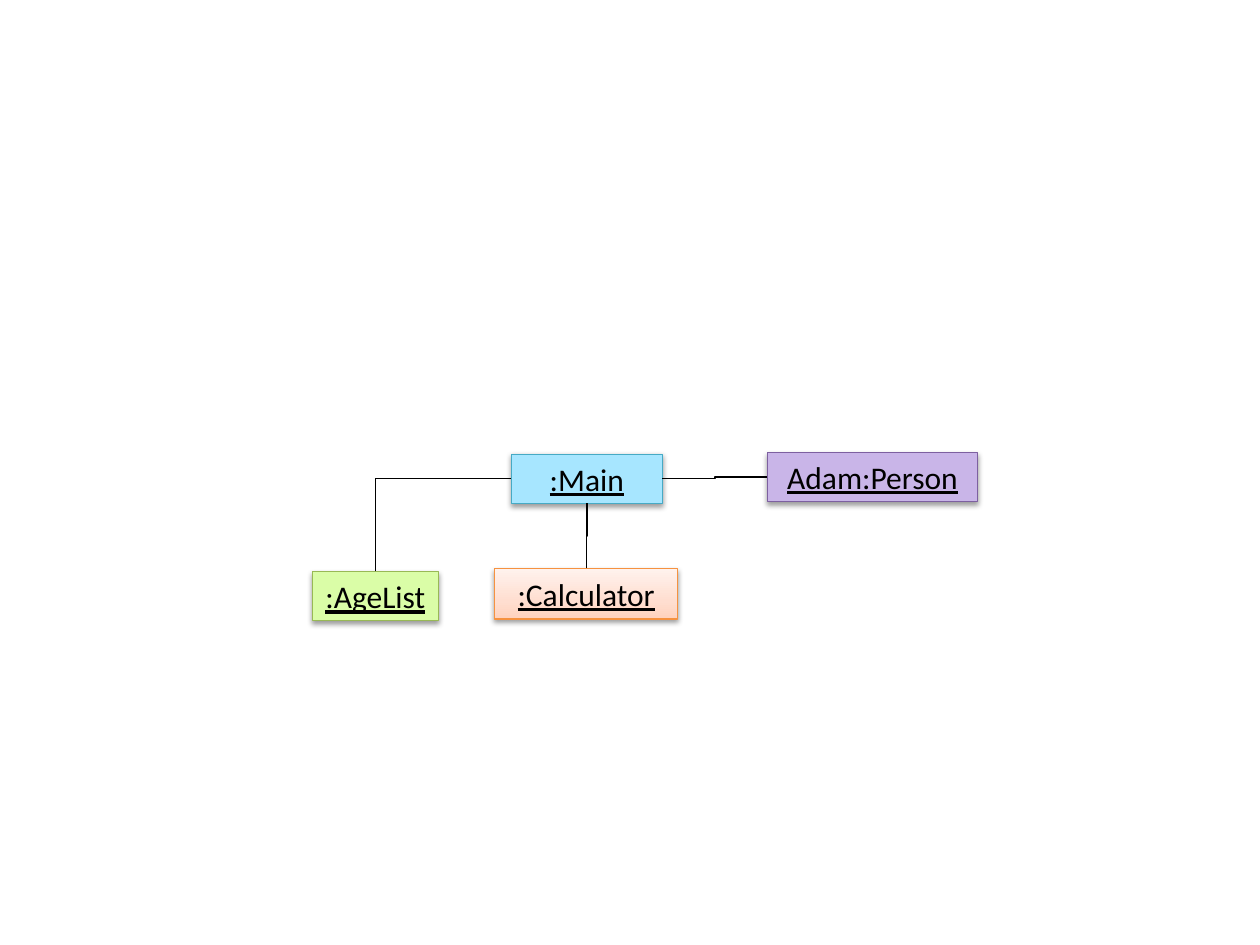
from lxml import etree
from pptx import Presentation
from pptx.dml.color import RGBColor as RGB
from pptx.enum.shapes import MSO_CONNECTOR as CONN, MSO_SHAPE as SHAPE
from pptx.enum.text import MSO_ANCHOR, MSO_AUTO_SIZE, PP_ALIGN
from pptx.oxml import parse_xml
from pptx.oxml.ns import nsdecls, qn
from pptx.util import Inches, Pt

COLORS = {
    "black": "000000",
    "blue": "A7E6FF", "blue_line": "46AAC5",
    "green": "DAFDA7", "green_line": "98B955",
    "purple": "C9B5E8", "purple_line": "7D60A0",
    "orange": "FFDED0", "orange_line": "F69240",
    "orange_low": "FFD2BD", "orange_high": "FFF2ED",
}

prs = Presentation()
prs.slide_width, prs.slide_height = Inches(10), Inches(7.5)
W, H = prs.slide_width / 100, prs.slide_height / 100
slide = prs.slides.add_slide(prs.slide_layouts[6])

# Objects: left, top, width, height in percent of the slide
objects = [
    (":Main", "blue", 40.58, 48.07, 12, 5.2),
    (":AgeList", "green", 24.8, 60.47, 10, 5.2),
    ("Adam:Person", "purple", 60.9, 47.87, 16.7, 5.2),
    (":Calculator", "orange", 39.27, 60.17, 14.5, 5.33),
]
boxes = {}
for name, color, x, y, w, h in objects:
    s = slide.shapes.add_shape(SHAPE.RECTANGLE, int(x * W), int(y * H), int(w * W), int(h * H))
    s.fill.solid()
    s.fill.fore_color.rgb = RGB.from_string(COLORS[color])
    s.line.color.rgb = RGB.from_string(COLORS[color + "_line"])
    s.line.width = Pt(0.75)

    # Soft shadow below the box
    s.shadow.inherit = False
    s._element.spPr.find(qn("a:effectLst")).append(parse_xml(
        f'<a:outerShdw {nsdecls("a")} blurRad="{Pt(3.1)}" dist="{Pt(1.6)}" dir="5400000" '
        f'rotWithShape="0"><a:srgbClr val="{COLORS["black"]}"><a:alpha val="38000"/>'
        '</a:srgbClr></a:outerShdw>'))

    # Underlined object name
    tf = s.text_frame
    tf.text = name
    tf.word_wrap = True
    tf.auto_size = MSO_AUTO_SIZE.SHAPE_TO_FIT_TEXT
    tf.vertical_anchor = MSO_ANCHOR.MIDDLE
    p = tf.paragraphs[0]
    p.alignment = PP_ALIGN.CENTER
    font = p.runs[0].font
    font.name, font.size, font.underline = "Calibri", Pt(18), True
    font.color.rgb = RGB.from_string(COLORS["black"])
    boxes[name] = s

# Calculator has a three-stop gradient, lighter at the top
stops = [(0, "orange_low"), (35, "orange"), (100, "orange_high")]
gs = "".join(f'<a:gs pos="{pos * 1000}"><a:srgbClr val="{COLORS[c]}"/></a:gs>' for pos, c in stops)
spPr = boxes[":Calculator"]._element.spPr
spPr.replace(spPr.find(qn("a:solidFill")), parse_xml(
    f'<a:gradFill {nsdecls("a")} rotWithShape="1"><a:gsLst>{gs}</a:gsLst>'
    '<a:lin ang="16200000" scaled="0"/></a:gradFill>'))

# Links: from, side, to, side, preset (sides: 0 top, 1 left, 2 bottom, 3 right)
links = [
    (":Main", 3, "Adam:Person", 1, "bentConnector3"),
    (":AgeList", 0, ":Main", 1, "bentConnector2"),
    (":Calculator", 0, ":Main", 2, "bentConnector3"),
]
for start, side, end, end_side, preset in links:
    c = slide.shapes.add_connector(CONN.ELBOW, 0, 0, 0, 0)
    c.begin_connect(boxes[start], side)
    c.end_connect(boxes[end], end_side)
    c.line.color.rgb = RGB.from_string(COLORS["black"])
    c.line.width = Pt(0.75)
    spPr = c._element.spPr
    etree.SubElement(spPr, qn("a:effectLst"))
    spPr.find(qn("a:prstGeom")).set("prst", preset)

    # A link leaving upwards is a horizontal one turned by 90 degrees
    if side == 0:
        x1, y1, x2, y2 = c.begin_x, c.begin_y, c.end_x, c.end_y
        w, h = y1 - y2, x2 - x1
        c.left, c.top = (x1 + x2 - w) // 2, (y1 + y2 - h) // 2
        c.width, c.height = w, h
        for key, value in (("rot", "5400000"), ("flipH", "1"), ("flipV", "1")):
            spPr.find(qn("a:xfrm")).set(key, value)

prs.save("out.pptx")
